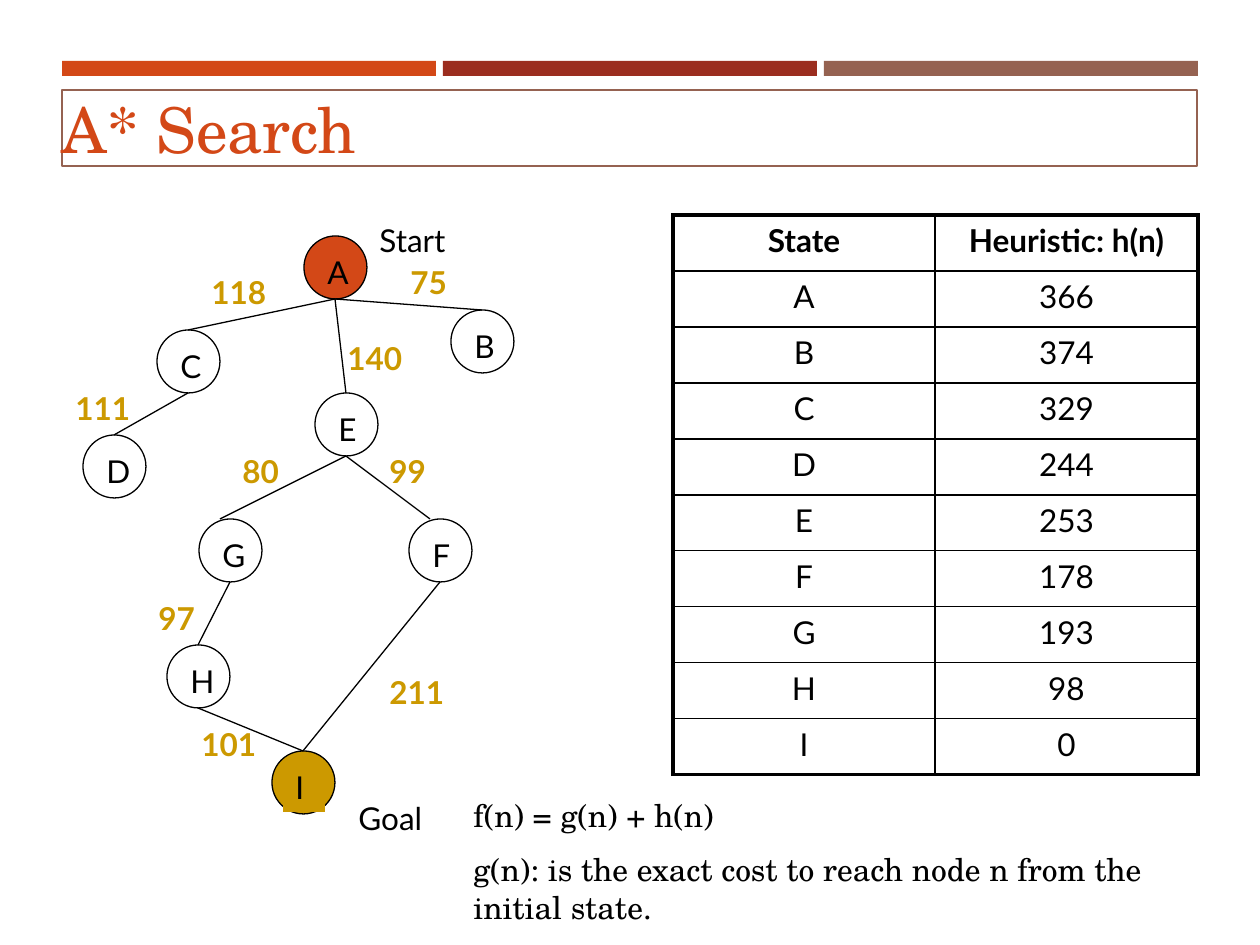
"""Build the A* Search slide: a weighted tree, its heuristic table and the cost formula."""
import pptx
import pptx.dml.color
import pptx.enum.shapes
import pptx.enum.text
import pptx.oxml
import pptx.oxml.ns
import pptx.util

PX = 914400 // 126
RGBColor = pptx.dml.color.RGBColor
BLACK = RGBColor(0x00, 0x00, 0x00)
ORANGE = RGBColor(0xD3, 0x48, 0x17)
RED = RGBColor(0x9B, 0x2D, 0x1F)
BROWN = RGBColor(0x95, 0x62, 0x51)
GOLD = RGBColor(0xCC, 0x99, 0x00)
SANS = "Lato"
SERIF = "TeX Gyre Schola"
DIAMETER = 63
RADIUS = 31
SHAPES = pptx.enum.shapes.MSO_SHAPE

deck = pptx.Presentation()
deck.slide_width = 1260 * PX
deck.slide_height = 945 * PX
slide = deck.slides.add_slide(deck.slide_layouts[6])


def add_shape(kind, left, top, width, height, fill=None, line=None, weight=0.75):
    shape = slide.shapes.add_shape(kind, left * PX, top * PX, width * PX, height * PX)
    shape.shadow.inherit = False
    if fill is None:
        shape.fill.background()
    else:
        shape.fill.solid()
        shape.fill.fore_color.rgb = fill
    if line is None:
        shape.line.fill.background()
    else:
        shape.line.color.rgb = line
        shape.line.width = pptx.util.Pt(weight)
    return shape


def add_text(left, top, width, height, lines, font=SANS, color=BLACK, bold=False):
    box = slide.shapes.add_textbox(left * PX, top * PX, width * PX, height * PX)
    frame = box.text_frame
    frame.word_wrap = True
    frame.auto_size = pptx.enum.text.MSO_AUTO_SIZE.SHAPE_TO_FIT_TEXT
    frame.text = "\n".join(lines)
    for paragraph in frame.paragraphs:
        paragraph.space_before = pptx.util.Pt(9)
        paragraph.font.name = font
        paragraph.font.size = pptx.util.Pt(18)
        paragraph.font.color.rgb = color
        paragraph.font.bold = bold
    return box


for index, band_color in enumerate((ORANGE, RED, BROWN)):
    add_shape(SHAPES.RECTANGLE, 62 + 381 * index, 61, 374, 15, band_color)

title = add_shape(SHAPES.RECTANGLE, 62, 90, 1135, 76, line=BROWN, weight=1)
title_frame = title.text_frame
title_frame.margin_left = title_frame.margin_right = 0
title_frame.margin_top = title_frame.margin_bottom = 0
title_frame.vertical_anchor = pptx.enum.text.MSO_ANCHOR.MIDDLE
title_frame.text = "A* Search"
heading = title_frame.paragraphs[0]
heading.alignment = pptx.enum.text.PP_ALIGN.LEFT
heading.font.name = SERIF
heading.font.size = pptx.util.Pt(36)
heading.font.color.rgb = ORANGE

heuristics = [
    ("State", "Heuristic: h(n)"),
    ("A", "366"), ("B", "374"), ("C", "329"), ("D", "244"), ("E", "253"),
    ("F", "178"), ("G", "193"), ("H", "98"), ("I", "0"),
]
last_row = len(heuristics) - 1
table = slide.shapes.add_table(
    len(heuristics), 2, 673 * PX, 215 * PX, 525 * PX, 560 * PX).table
table.horz_banding = False
table.columns[0].width = 262 * PX
table.columns[1].width = 263 * PX
for row, values in enumerate(heuristics):
    table.rows[row].height = 56 * PX
    for column, value in enumerate(values):
        cell = table.cell(row, column)
        cell.text = value
        entry = cell.text_frame.paragraphs[0]
        entry.alignment = pptx.enum.text.PP_ALIGN.CENTER
        entry.font.name = SANS
        entry.font.size = pptx.util.Pt(18)
        entry.font.color.rgb = BLACK
        entry.font.bold = row == 0
        outer_sides = {"lnL": column == 0, "lnR": column == 1,
                       "lnT": row == 0, "lnB": row == last_row}
        properties = cell._tc.get_or_add_tcPr()
        for side, is_outer in outer_sides.items():
            width = pptx.util.Pt(2.25 if is_outer else 1)
            properties.append(pptx.oxml.parse_xml(
                f'<a:{side} {pptx.oxml.ns.nsdecls("a")} w="{width}"><a:solidFill>'
                f'<a:srgbClr val="{BLACK}"/></a:solidFill></a:{side}>'))
        cell.fill.background()

nodes = {
    "A": (304, 236), "B": (451, 310), "C": (157, 330),
    "D": (83, 435), "E": (315, 393), "F": (409, 519),
    "G": (199, 519), "H": (167, 645), "I": (272, 751),
}
node_fills = {"A": ORANGE, "I": GOLD}
for name, (left, top) in nodes.items():
    add_shape(SHAPES.OVAL, left, top, DIAMETER, DIAMETER, node_fills.get(name), BLACK)
    label = add_text(left + 11, top + 11, 42, 50, [name])
    if name == "I":
        label.fill.solid()
        label.fill.fore_color.rgb = GOLD

edges = [
    ("A", "B", 0, "75", 398, 257), ("A", "C", 0, "118", 199, 267),
    ("A", "E", 0, "140", 335, 333), ("C", "D", 0, "111", 63, 383),
    ("E", "F", -10, "99", 377, 446), ("E", "G", -10, "80", 230, 446),
    ("G", "H", 0, "97", 146, 593), ("F", "I", 0, "211", 377, 667),
    ("H", "I", 0, "101", 189, 719),
]
for parent, child, shift, cost, cost_left, cost_top in edges:
    parent_left, parent_top = nodes[parent]
    child_left, child_top = nodes[child]
    edge = slide.shapes.add_connector(
        pptx.enum.shapes.MSO_CONNECTOR.STRAIGHT,
        (parent_left + RADIUS) * PX, (parent_top + DIAMETER) * PX,
        (child_left + RADIUS + shift) * PX, child_top * PX)
    edge.line.color.rgb = BLACK
    edge.line.width = pptx.util.Pt(0.75)
    edge._element.spPr.append(pptx.oxml.parse_xml(
        f'<a:effectLst {pptx.oxml.ns.nsdecls("a")}/>'))
    add_text(cost_left, cost_top, 105, 50, [cost], color=GOLD, bold=True)

add_text(367, 215, 168, 50, ["Start"])
add_text(346, 793, 105, 50, ["Goal"])
add_text(461, 790, 785, 146, [
    "f(n) = g(n) + h(n)",
    "g(n): is the exact cost to reach node n from the initial state.",
], font=SERIF)

deck.save("out.pptx")
